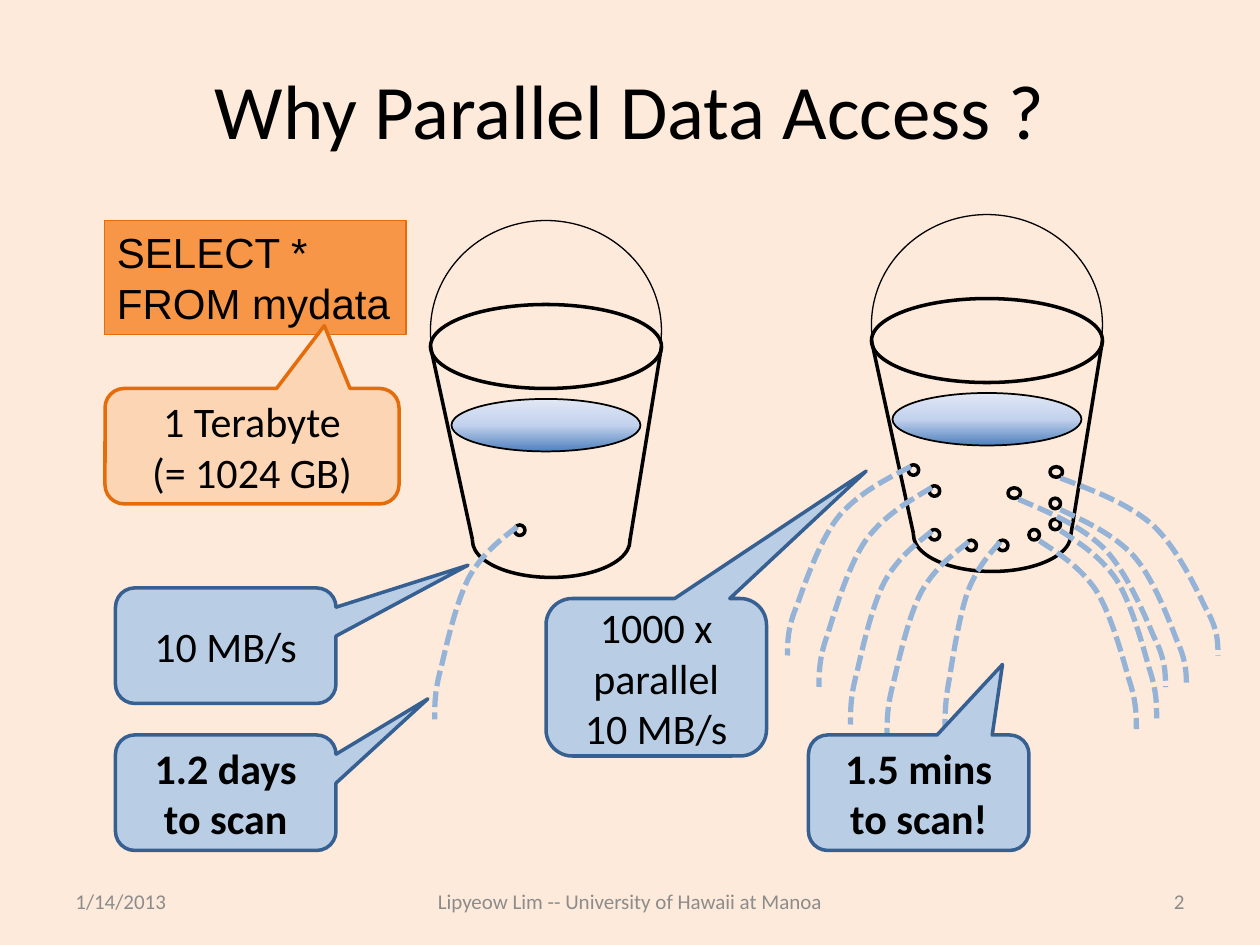
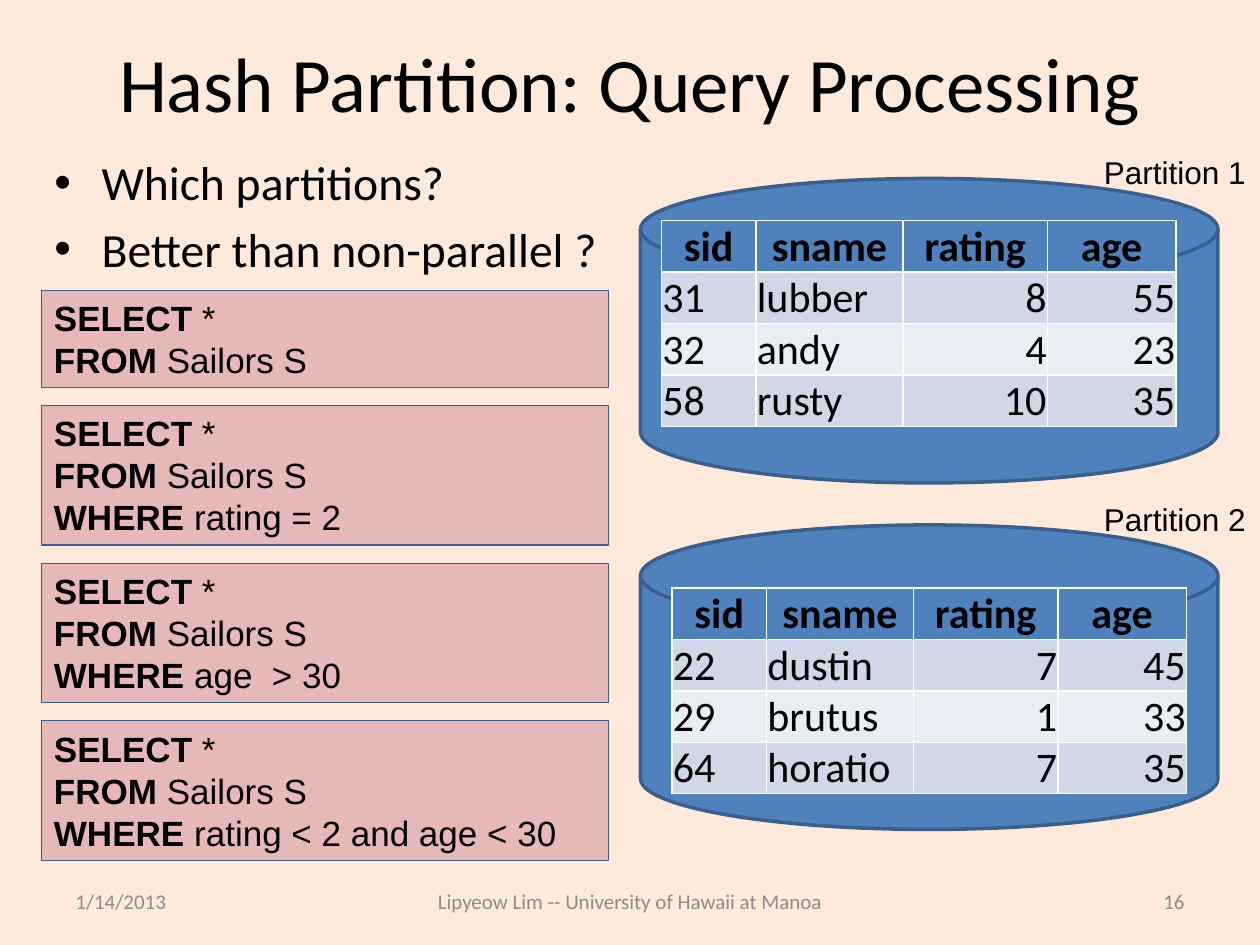
"""Builds two slides on parallel data access: leaking buckets and hash partitions."""
from copy import deepcopy

from pptx import Presentation
from pptx.dml.color import RGBColor
from pptx.enum.dml import MSO_LINE
from pptx.enum.shapes import MSO_CONNECTOR, MSO_SHAPE
from pptx.enum.text import MSO_ANCHOR, PP_ALIGN
from pptx.oxml.ns import qn
from pptx.oxml.xmlchemy import OxmlElement
from pptx.util import Pt

LEFT, CENTER, RIGHT = PP_ALIGN.LEFT, PP_ALIGN.CENTER, PP_ALIGN.RIGHT
BLACK, BLUE, DARK_BLUE, PALE_BLUE = "000000", "4F81BD", "3A5F8C", "B9CDE5"
CALLOUT_BLUE, ORANGE, DARK_ORANGE, PALE_ORANGE = "376092", "F79646", "E46C0A", "FCD5B5"
PINK, GRAY, STREAM_BLUE, CREAM, WHITE = "E6B9B8", "8C8C8C", "95B3D7", "FDEADA", "FFFFFF"
rgb = RGBColor.from_string


def write_text(frame, text, size=24, font="Calibri", color=BLACK, bold=False, align=LEFT,
               anchor=MSO_ANCHOR.MIDDLE, wrap=True, bold_keyword=False, bullet=None, space=0):
    """Fill a text frame, one paragraph per line of text."""
    frame.word_wrap = wrap
    frame.vertical_anchor = anchor
    for index, line in enumerate(text.split("\n")):
        paragraph = frame.add_paragraph() if index else frame.paragraphs[0]
        paragraph.alignment = align
        if index and space:
            paragraph.space_before = Pt(space)
        if bullet:
            properties = paragraph._p.get_or_add_pPr()
            properties.set("marL", str(Pt(27)))
            properties.set("indent", str(Pt(-27)))
            for tag, name, value in [("a:buFont", "typeface", "Arial"),
                                     ("a:buChar", "char", bullet)]:
                mark = OxmlElement(tag)
                mark.set(name, value)
                properties.append(mark)
        keyword, gap, rest = line.partition(" ")
        parts = [(keyword, True), (gap + rest, False)] if bold_keyword else [(line, bold)]
        for part, is_bold in parts:
            run = paragraph.add_run()
            run.text = part
            run.font.name, run.font.size, run.font.bold = font, Pt(size), is_bold
            run.font.color.rgb = rgb(color)


def draw_shape(shapes, kind, box, fill=None, line=BLACK, width=2.0, adjustments=()):
    """Add a preset shape without shadow; box is left, top, width, height in points."""
    shape = shapes.add_shape(kind, *[Pt(value) for value in box])
    shape.shadow.inherit = False
    if fill:
        shape.fill.solid()
        shape.fill.fore_color.rgb = rgb(fill)
    else:
        shape.fill.background()
    shape.line.color.rgb = rgb(line)
    shape.line.width = Pt(width)
    for index, value in enumerate(adjustments):
        shape.adjustments[index] = value
    return shape


presentation = Presentation()
presentation.slide_width, presentation.slide_height = Pt(720), Pt(540)
background = presentation.slide_master.background.fill
background.solid()
background.fore_color.rgb = rgb(CREAM)

slides = []
for title, title_height, number in [("Why Parallel Data Access ?", 80.5, "2"),
                                    ("Hash Partition: Query Processing", 50.5, "16")]:
    slide = presentation.slides.add_slide(presentation.slide_layouts[5])
    placeholder = slide.shapes.title
    placeholder.left, placeholder.top = Pt(36), Pt(21.6)
    placeholder.width, placeholder.height = Pt(648), Pt(title_height)
    write_text(placeholder.text_frame, title, size=44, align=CENTER)
    for text, left, width, align in [
            ("1/14/2013", 36, 168, LEFT),
            ("Lipyeow Lim -- University of Hawaii at Manoa", 216, 288, CENTER),
            (number, 516, 168, RIGHT)]:
        footer = slide.shapes.add_textbox(Pt(left), Pt(500.5), Pt(width), Pt(28.75))
        write_text(footer.text_frame, text, size=12, color=GRAY, align=align)
    slides.append(slide)
bucket_slide, partition_slide = slides

one_leak = [(294, 300, 6, 248.4, 411)]
many_leaks = [
    (531, 302.6, 6, 486, 414), (570, 308.7, 6, 540, 416.7), (600, 284.7, 6, 678, 392.6),
    (588, 302.6, 6, 649.4, 416.7), (600, 296.7, 6, 661, 410.5), (519, 265.6, 6, 450, 374.6),
    (531, 277.6, 6, 468, 392.6), (552, 308.7, 6, 506.9, 419.8), (600, 266.7, 7.2, 696, 374.6),
    (576, 278.8, 7.2, 666, 392.6)]
stream_curve = [(0.21, 0.07), (0.42, 0.14), (0.58, 0.26), (0.73, 0.38), (0.85, 0.6),
                (0.92, 0.73), (1, 0.85), (1, 0.93), (1, 1)]

for left, top, leaks in [(246, 126, one_leak), (498, 122.6, many_leaks)]:
    bucket = bucket_slide.shapes.add_group_shape().shapes
    water = draw_shape(bucket, MSO_SHAPE.OVAL, (left + 12, top + 102, 108, 30), width=1)
    water.fill.gradient()
    water.fill.gradient_angle = 90
    stop_list = water._element.spPr.find(".//" + qn("a:gsLst"))
    stop_list.append(deepcopy(stop_list[0]))
    for stop, position, color in zip(water.fill.gradient_stops, (0, 0.5, 1),
                                     (BLUE, "C2D1ED", "E1E8F5")):
        stop.position = position
        stop.color.rgb = rgb(color)
    draw_shape(bucket, MSO_SHAPE.OVAL, (left, top + 48, 132, 48))
    for rim, base in [(0, 24), (132, 114)]:
        side = bucket.add_connector(MSO_CONNECTOR.STRAIGHT, Pt(left + rim), Pt(top + 72),
                                    Pt(left + base), Pt(top + 182.5))
        side.line.color.rgb = rgb(BLACK)
        side.line.width = Pt(2)
        side._element.spPr.append(OxmlElement("a:effectLst"))
    draw_shape(bucket, MSO_SHAPE.ARC, (left + 24, top + 162, 90, 42),
               adjustments=(215.125, 108.308))
    draw_shape(bucket, MSO_SHAPE.ARC, (left, top, 132, 126), width=0.75,
               adjustments=(103.426, 3.055))
    for hole_left, hole_top, hole_width, end_x, end_y in leaks:
        draw_shape(bucket, MSO_SHAPE.OVAL, (hole_left, hole_top, hole_width, 6))
        flows_left = end_x < hole_left
        start_x = hole_left + (1.5 if flows_left else 6)
        start_y = hole_top + (1 if flows_left else 6.5)
        builder = bucket.build_freeform(Pt(start_x), Pt(start_y), scale=1.0)
        builder.add_line_segments(
            [(Pt(start_x + across * (end_x - start_x)), Pt(start_y + down * (end_y - start_y)))
             for across, down in stream_curve], close=False)
        stream = builder.convert_to_shape()
        segments = stream._element.spPr.findall(".//" + qn("a:lnTo"))
        for first in range(0, len(segments), 3):
            curve = OxmlElement("a:cubicBezTo")
            segments[first].addprevious(curve)
            for segment in segments[first:first + 3]:
                curve.append(segment[0])
                segment.getparent().remove(segment)
        stream.shadow.inherit = False
        stream.fill.background()
        stream.line.color.rgb = rgb(STREAM_BLUE)
        stream.line.width = Pt(3)
        stream.line.dash_style = MSO_LINE.SQUARE_DOT

query = draw_shape(bucket_slide.shapes, MSO_SHAPE.RECTANGLE, (59.75, 126, 172.25, 65.25),
                   ORANGE, DARK_ORANGE, 0.75)
write_text(query.text_frame, "SELECT *\nFROM mydata", font="Arial",
           anchor=MSO_ANCHOR.TOP, wrap=False)

for text, box, tip, fill, line, bold in [
        ("1 Terabyte\n(= 1024 GB)", (60, 222, 168, 66), (0.246, -1.044),
         PALE_ORANGE, DARK_ORANGE, False),
        ("10 MB/s", (66, 336, 126, 66), (1.099, -0.697), PALE_BLUE, CALLOUT_BLUE, False),
        ("1.2 days to scan", (66, 420, 126, 66), (0.917, -0.813), PALE_BLUE, CALLOUT_BLUE, True),
        ("1000 x parallel\n10 MB/s", (312, 342, 126, 90), (0.952, -1.309),
         PALE_BLUE, CALLOUT_BLUE, False),
        ("1.5 mins to scan!", (462, 420, 126, 66), (0.38, -1.111),
         PALE_BLUE, CALLOUT_BLUE, True)]:
    callout = draw_shape(bucket_slide.shapes, MSO_SHAPE.ROUNDED_RECTANGULAR_CALLOUT, box,
                         fill, line, adjustments=(*tip, 0.167))
    write_text(callout.text_frame, text, bold=bold, align=CENTER)

questions = partition_slide.shapes.add_textbox(Pt(24), Pt(84), Pt(330), Pt(78))
write_text(questions.text_frame, "Which partitions?\nBetter than non-parallel ?", size=27.2,
           anchor=MSO_ANCHOR.TOP, bullet="•", space=5.4)

query_top = 166
for condition in ("", "\nWHERE rating = 2", "\nWHERE age  > 30", "\nWHERE rating < 2 and age < 30"):
    height = 79.75 if condition else 55.5
    query = draw_shape(partition_slide.shapes, MSO_SHAPE.RECTANGLE,
                       (23.75, query_top, 324, height), PINK, DARK_BLUE, 0.75)
    write_text(query.text_frame, "SELECT *\nFROM Sailors S" + condition, size=20, font="Arial",
               anchor=MSO_ANCHOR.TOP, bold_keyword=True)
    query_top += height + 10.3

header = ("sid", "sname", "rating", "age")
for name, disk_top, table_left, table_top, sailors in [
        ("Partition 1", 102, 378, 126,
         [("31", "lubber", "8", "55"), ("32", "andy", "4", "23"), ("58", "rusty", "10", "35")]),
        ("Partition 2", 300, 384, 336,
         [("22", "dustin", "7", "45"), ("29", "brutus", "1", "33"), ("64", "horatio", "7", "35")])]:
    draw_shape(partition_slide.shapes, MSO_SHAPE.FLOWCHART_MAGNETIC_DISK,
               (366, disk_top, 330, 174), BLUE, DARK_BLUE)
    label = partition_slide.shapes.add_textbox(Pt(623.75), Pt(disk_top - 18), Pt(96.5), Pt(29))
    write_text(label.text_frame, name, size=18, font="Arial", anchor=MSO_ANCHOR.TOP, wrap=False)
    table = partition_slide.shapes.add_table(4, 4, Pt(table_left), Pt(table_top),
                                             Pt(294), Pt(117.6)).table
    for column, width in zip(table.columns, (54, 84, 82.5, 73.5)):
        column.width = Pt(width)
    for row_index, values in enumerate([header, *sailors]):
        table.rows[row_index].height = Pt(29.4)
        for column_index, value in enumerate(values):
            cell = table.cell(row_index, column_index)
            is_header = row_index == 0
            align = CENTER if is_header else LEFT if column_index < 2 else RIGHT
            write_text(cell.text_frame, value, bold=is_header, align=align)
            cell.vertical_anchor = MSO_ANCHOR.BOTTOM
            cell.margin_left = cell.margin_right = cell.margin_top = Pt(0.5)
            cell.margin_bottom = 0
            properties = cell._tc.get_or_add_tcPr()
            for edge in ("a:lnL", "a:lnR", "a:lnT", "a:lnB"):
                border = OxmlElement(edge)
                border.set("w", str(Pt(1)))
                border_fill = OxmlElement("a:solidFill")
                border_color = OxmlElement("a:srgbClr")
                border_color.set("val", WHITE)
                border_fill.append(border_color)
                border.append(border_fill)
                properties.append(border)
            cell.fill.solid()
            cell.fill.fore_color.rgb = rgb(
                BLUE if is_header else "D0D8E8" if row_index % 2 else "E9EDF4")

presentation.save("out.pptx")
